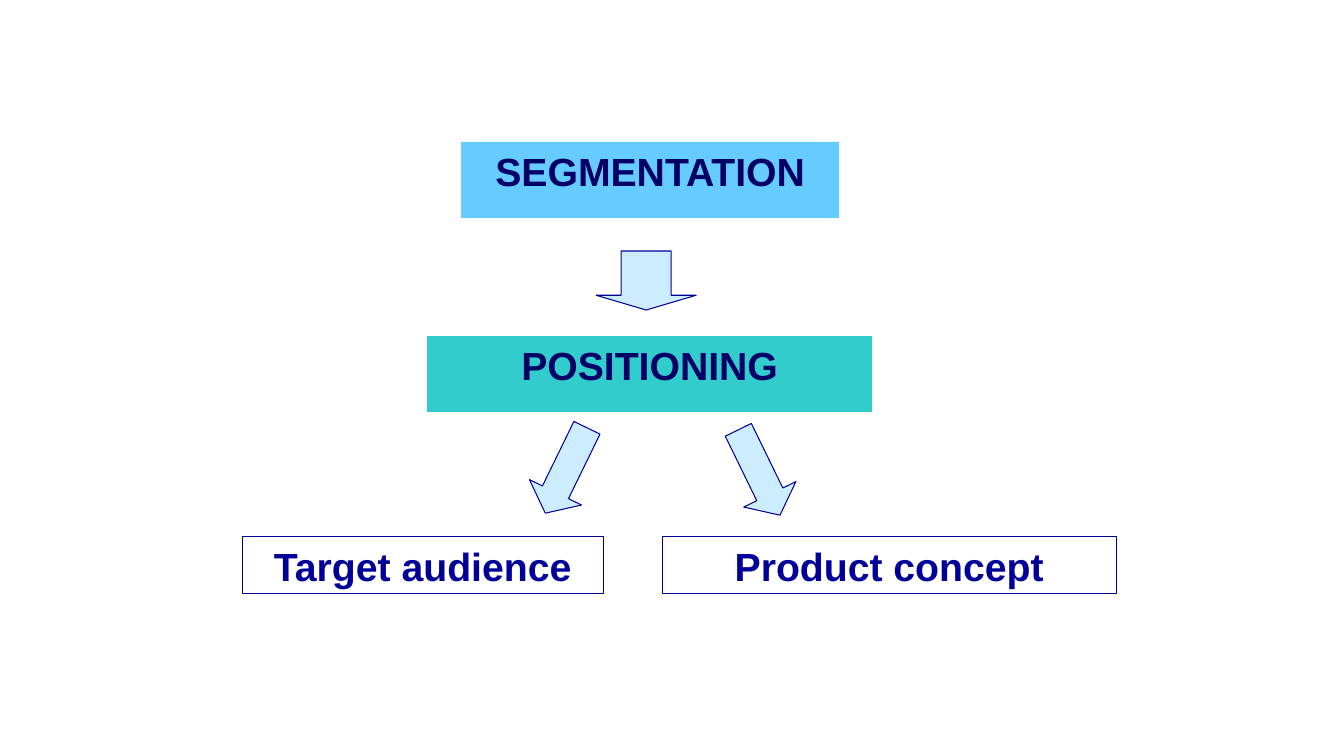
from pptx import Presentation
from pptx.dml.color import RGBColor
from pptx.enum.shapes import MSO_SHAPE
from pptx.enum.text import MSO_ANCHOR, PP_ALIGN
from pptx.util import Inches, Pt

RECTANGLE, DOWN_ARROW = MSO_SHAPE.RECTANGLE, MSO_SHAPE.DOWN_ARROW
TOP, CENTER = MSO_ANCHOR.TOP, PP_ALIGN.CENTER

SKY = RGBColor(0x66, 0xCC, 0xFF)
TEAL = RGBColor(0x33, 0xCC, 0xCC)
PALE_BLUE = RGBColor(0xCC, 0xEC, 0xFF)
NAVY = RGBColor(0x00, 0x00, 0x66)
BLUE = RGBColor(0x00, 0x00, 0x99)

# text, (left, top, width, height), fill, line, text colour, space before
BOXES = [
    ("SEGMENTATION", (461, 142, 378, 76), SKY, None, NAVY, 7),
    ("POSITIONING", (427, 336, 445, 76), TEAL, None, NAVY, 7),
    ("Target audience", (242, 537, 361, 57), None, BLUE, BLUE, 17.5),
    ("Product concept", (662, 537, 454, 57), None, BLUE, BLUE, 17.5),
]
# (left, top, width, height), rotation, head length as share of width
ARROWS = [
    ((596, 251, 100, 59), 0, 0.25),
    ((537, 423, 58, 95), 26, 0.4),
    ((730, 425, 58, 95), -26, 0.4),
]


def px(pixels):
    """Turn pixels into EMU."""
    return Inches(pixels / 100.8)


def add_shape(slide, kind, place, fill=None, line=None):
    """Add a flat preset shape with optional fill and outline."""
    shape = slide.shapes.add_shape(kind, *map(px, place))
    shape.shadow.inherit = False
    if fill is None:
        shape.fill.background()
    else:
        shape.fill.solid()
        shape.fill.fore_color.rgb = fill
    if line is None:
        shape.line.fill.background()
    else:
        shape.line.color.rgb = line
        shape.line.width = Pt(0.74)
    return shape


def write(shape, text, color, size=28, bold=True, space_before=0):
    """Write one centred line at the top of a shape."""
    frame = shape.text_frame
    frame.word_wrap = True
    frame.vertical_anchor = TOP
    paragraph = frame.paragraphs[0]
    paragraph.alignment = CENTER
    paragraph.space_before = Pt(space_before)
    run = paragraph.add_run()
    run.text = text
    run.font.name = "Arial"
    run.font.size = Pt(size)
    run.font.bold = bold
    run.font.color.rgb = color


presentation = Presentation()
presentation.slide_width = Inches(13.33)
presentation.slide_height = Inches(7.5)
slide = presentation.slides.add_slide(presentation.slide_layouts[6])

for text, place, fill, line, color, space_before in BOXES:
    box = add_shape(slide, RECTANGLE, place, fill=fill, line=line)
    write(box, text, color, space_before=space_before)

for place, rotation, head in ARROWS:
    arrow = add_shape(slide, DOWN_ARROW, place, fill=PALE_BLUE, line=BLUE)
    arrow.adjustments[0] = 0.5
    arrow.adjustments[1] = head
    arrow.rotation = rotation

presentation.save("out.pptx")
